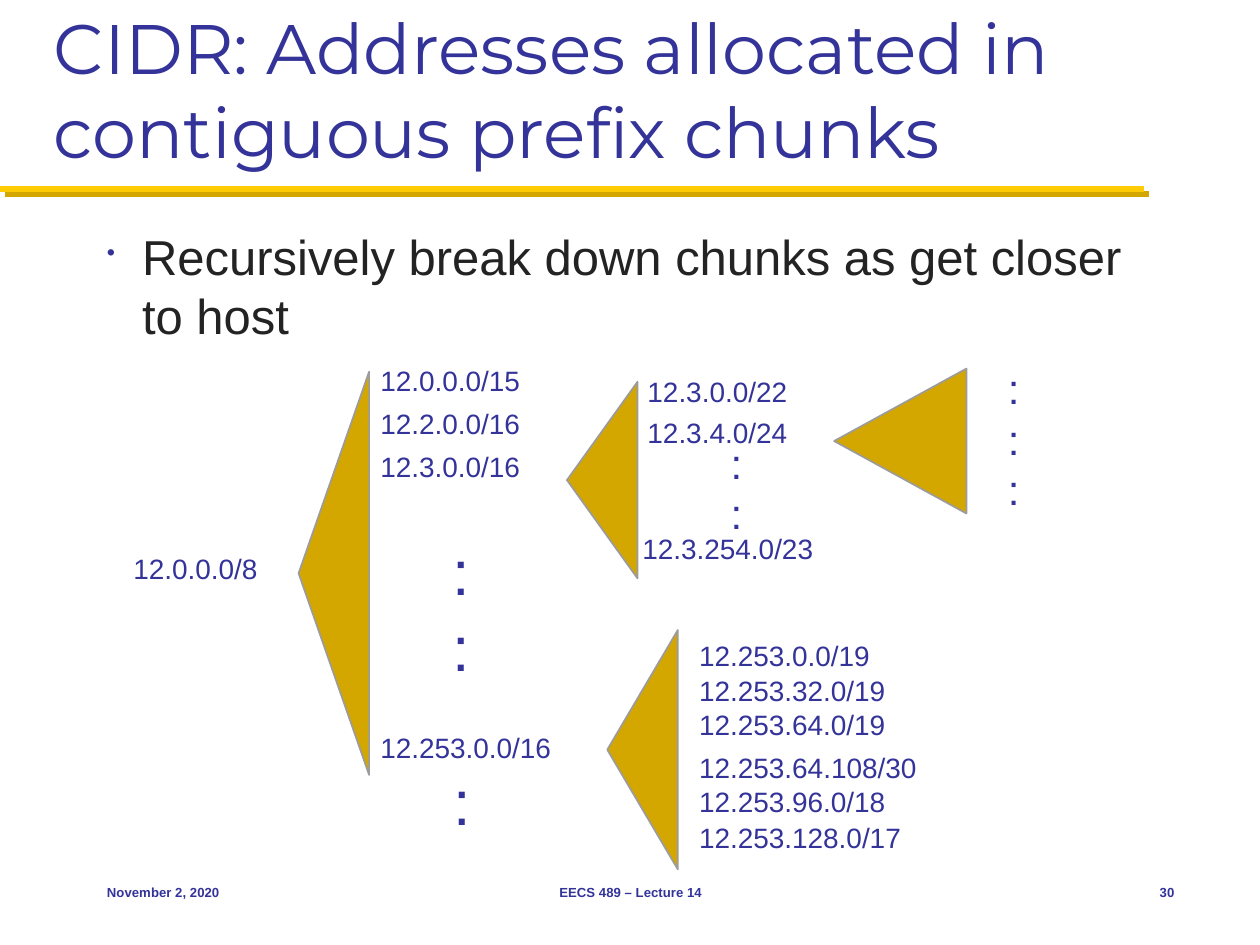
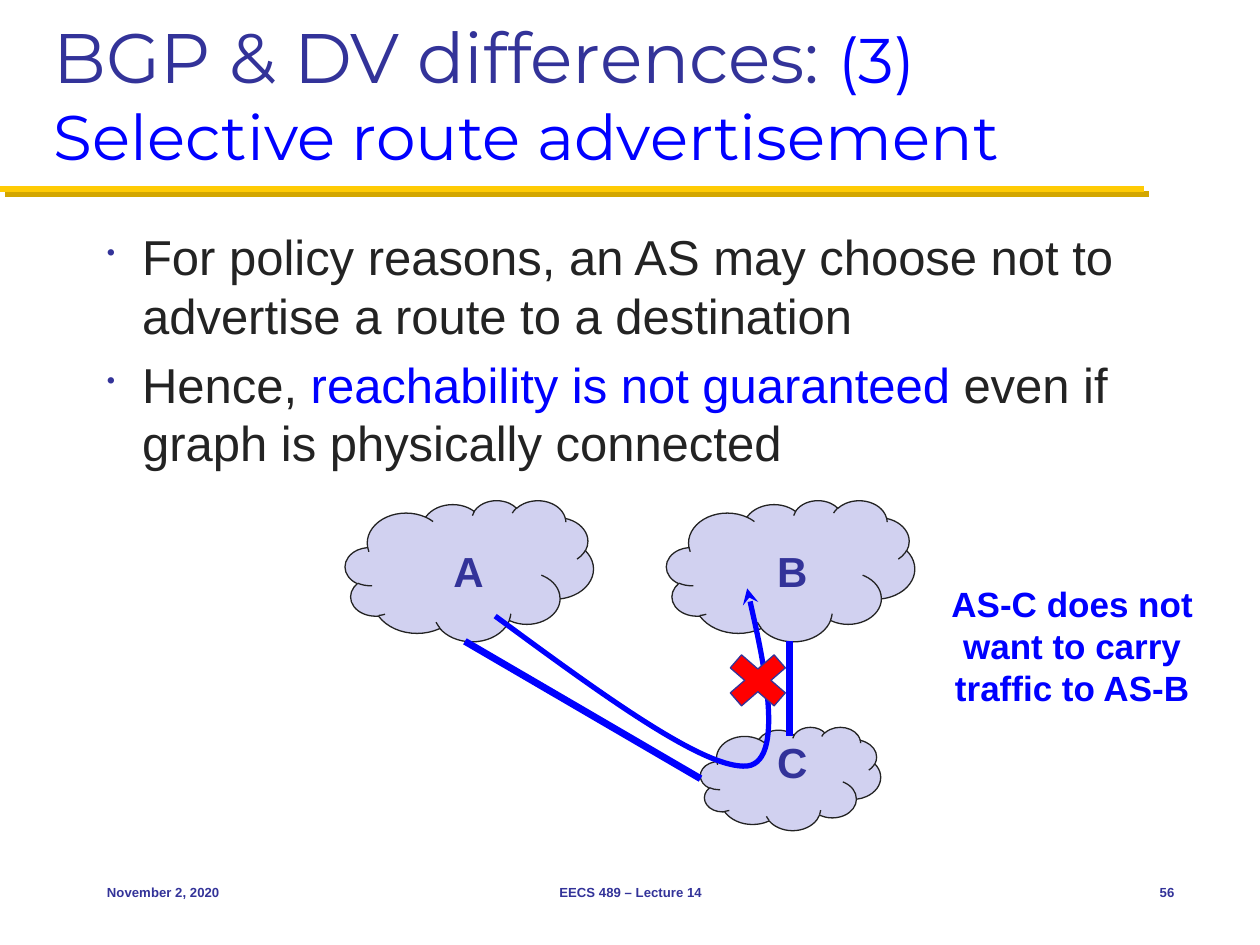
from dataclasses import dataclass

import lxml.etree
import pptx
import pptx.dml.color
import pptx.enum.shapes
import pptx.enum.text
import pptx.oxml.ns
import pptx.util

SHAPE = pptx.enum.shapes.MSO_SHAPE
ALIGN = pptx.enum.text.PP_ALIGN
ANCHOR = pptx.enum.text.MSO_ANCHOR
CELL = pptx.util.Inches(0.1)  # the slide is a grid of 100 columns by 75 rows


@dataclass(frozen=True)
class Theme:
    """Colours, fonts and type sizes of the deck."""
    navy: str = "333399"
    blue: str = "0000FF"
    ink: str = "232323"
    gold: str = "FFCB05"
    ochre: str = "D3A600"
    grey: str = "9C9C9C"
    lilac: str = "D1D1F0"
    red: str = "FF0000"
    head_font: str = "Montserrat"
    body_font: str = "Arial"
    title: float = 40
    subtitle: float = 36
    body: float = 28
    node: float = 24
    note: float = 20
    label: float = 16
    footer: float = 7.5


T = Theme()


def grid(*cells):
    """Turn columns or rows into lengths."""
    return [round(c * CELL) for c in cells]


def rgb(color):
    """Make a colour from its hex digits."""
    return pptx.dml.color.RGBColor.from_string(color)


def sub(parent, tag, **attrs):
    """Append a drawing element such as a:buChar."""
    e = lxml.etree.SubElement(parent, pptx.oxml.ns.qn(tag))
    for key, value in attrs.items():
        e.set(key, str(value))
    return e


def add_run(p, text, size, color, font=T.body_font, bold=False):
    """Add one formatted run to a paragraph."""
    r = p.add_run()
    r.text = text
    r.font.size = pptx.util.Pt(size)
    r.font.name = font
    r.font.bold = bold
    r.font.color.rgb = rgb(color)


def add_box(s, box, wrap=True, anchor=ANCHOR.TOP, grow=False):
    """Add an empty text box and return its text frame."""
    tf = s.shapes.add_textbox(*grid(*box)).text_frame
    tf.word_wrap = wrap
    tf.vertical_anchor = anchor
    if grow:
        tf.auto_size = pptx.enum.text.MSO_AUTO_SIZE.SHAPE_TO_FIT_TEXT
    return tf


def add_title(s, *runs):
    """Add the title from (text, size, colour) runs."""
    p = add_box(s, (3.3, 1.7, 93.3, 12.5), anchor=ANCHOR.BOTTOM).paragraphs[0]
    for run in runs:
        add_run(p, *run, font=T.head_font)


def add_bullets(s, *items):
    """Add the body; each item is a list of (text, colour) runs."""
    tf = add_box(s, (7.5, 17.5, 86.7, 48.3))
    for i, runs in enumerate(items):
        p = tf.add_paragraph() if i else tf.paragraphs[0]
        p.space_before = pptx.util.Pt(0.2 * T.body)
        pPr = p._p.get_or_add_pPr()
        indent = grid(2.8)[0]
        pPr.set("marL", str(indent))
        pPr.set("indent", str(-indent))
        sub(sub(pPr, "a:buClr"), "a:srgbClr", val=T.navy)
        sub(pPr, "a:buSzPct", val=50000)
        sub(pPr, "a:buChar", char="\u2022")
        for text, color in runs:
            add_run(p, text, T.body, color)


def add_line(s, start, end, color, width):
    """Add a straight line and return its (empty) effect list."""
    sp = s.shapes.add_connector(pptx.enum.shapes.MSO_CONNECTOR.STRAIGHT,
                                *grid(*start, *end))
    sp.line.color.rgb = rgb(color)
    sp.line.width = pptx.util.Pt(width)
    return sub(sp._element.spPr, "a:effectLst")


def add_shape(s, kind, box, fill, line, width):
    """Add a flat preset shape."""
    sp = s.shapes.add_shape(kind, *grid(*box))
    sp.shadow.inherit = False
    sp.fill.solid()
    sp.fill.fore_color.rgb = rgb(fill)
    sp.line.color.rgb = rgb(line)
    sp.line.width = pptx.util.Pt(width)
    return sp


def add_fan(s, tip, middle, depth, spread):
    """Add a triangle that opens to the right from its tip."""
    box = (tip + (depth - spread) / 2, middle - depth / 2, spread, depth)
    sp = add_shape(s, SHAPE.ISOSCELES_TRIANGLE, box, T.ochre, T.grey, 1)
    sp.rotation = 270


def add_prefix(s, col, row, text):
    """Add an address prefix, in a box as wide as its text needs."""
    tf = add_box(s, (col, row, 1.55 * len(text) - 1, 4.4), wrap=False, grow=True)
    add_run(tf.paragraphs[0], text, T.label, T.navy)


def add_dots(s, box, count, size):
    """Add a column of colons that stands for omitted prefixes."""
    tf = add_box(s, box, wrap=False, grow=True)
    for i in range(count):
        p = tf.add_paragraph() if i else tf.paragraphs[0]
        add_run(p, ":", size, T.navy)


def add_route(s, start, curves, size):
    """Add a curved arrow; each curve is two controls and an end point."""
    points = [grid(*pt) for curve in curves for pt in curve]
    fb = s.shapes.build_freeform(*grid(*start))
    fb.add_line_segments(points, close=False)
    sp = fb.convert_to_shape()
    sp.shadow.inherit = False
    sp.fill.background()
    sp.line.color.rgb = rgb(T.blue)
    sp.line.width = pptx.util.Pt(3)
    sub(sp.line._get_or_add_ln(), "a:tailEnd", type="stealth")
    outline = sp._element.find(".//" + pptx.oxml.ns.qn("a:path"))
    steps = outline.findall(pptx.oxml.ns.qn("a:lnTo"))
    for i in range(0, len(steps), 3):
        bezier = sub(outline, "a:cubicBezTo")
        for step in steps[i:i + 3]:
            bezier.append(step[0])
            outline.remove(step)
    # The frame holds the curve itself, not its control points.
    sp.width, sp.height = grid(*size)
    outline.set("w", str(sp.width))
    outline.set("h", str(sp.height))


def add_slide(prs, number):
    """Add a slide with the title rule and the footer."""
    s = prs.slides.add_slide(prs.slide_layouts[6])
    effects = add_line(s, (0, 15), (90.8, 15), T.gold, 3.5)
    shadow = sub(effects, "a:outerShdw", blurRad=0,
                 dist=pptx.util.Pt(4.2), dir=45 * 60000, algn="ctr", rotWithShape=0)
    sub(shadow, "a:srgbClr", val=T.ochre)
    for col, width, align, text in (
            (7.5, 20.8, ALIGN.LEFT, "November 2, 2020"),
            (34.2, 31.7, ALIGN.CENTER, "EECS 489 \u2013 Lecture 14"),
            (87.5, 6.7, ALIGN.RIGHT, str(number))):
        tf = add_box(s, (col, 68.3, width, 5), wrap=False, anchor=ANCHOR.MIDDLE)
        tf.paragraphs[0].alignment = align
        add_run(tf.paragraphs[0], text, T.footer, T.navy, bold=True)
    return s


def build_cidr(prs):
    """Build the slide on address allocation."""
    s = add_slide(prs, 30)
    add_title(s, ("CIDR: Addresses allocated in contiguous prefix chunks",
                  T.title, T.navy))
    add_bullets(s, [("Recursively break down chunks as get closer to host", T.ink)])

    for fan in ((23.7, 45.5, 5.6, 32), (45, 38.1, 5.6, 15.6),
                (48.2, 59.5, 5.6, 19), (66.2, 35, 10.5, 11.5)):
        add_fan(s, *fan)

    columns = {
        9.6: [(43.3, "12.0.0.0/8")],
        29.2: [(28.4, "12.0.0.0/15"), (31.8, "12.2.0.0/16"),
               (35.2, "12.3.0.0/16"), (57.5, "12.253.0.0/16")],
        50.4: [(29.2, "12.3.0.0/22"), (32.5, "12.3.4.0/24")],
        50: [(41.7, "12.3.254.0/23")],
        54.5: [(50.2, "12.253.0.0/19"), (53, "12.253.32.0/19"),
               (55.7, "12.253.64.0/19"), (59.1, "12.253.64.108/30"),
               (61.8, "12.253.96.0/18"), (64.6, "12.253.128.0/17")],
    }
    for col, prefixes in columns.items():
        for row, text in prefixes:
            add_prefix(s, col, row, text)

    add_dots(s, (34.9, 41.8, 3.4, 13.1), 2, 36)
    add_dots(s, (35, 60, 3.4, 7.1), 1, 36)
    add_dots(s, (57, 34.2, 3, 9.1), 2, 24)
    add_dots(s, (79, 28.3, 3, 13.1), 3, 24)


def build_bgp(prs):
    """Build the slide on selective route advertisement."""
    s = add_slide(prs, 56)
    add_title(s, ("BGP & DV differences: ", T.title, T.navy),
              ("(3) Selective route advertisement", T.subtitle, T.blue))
    add_bullets(
        s,
        [("For policy reasons, an AS may choose not to advertise a route "
          "to a destination ", T.ink)],
        [("Hence, ", T.ink), ("reachability is not guaranteed", T.blue),
         (" even if graph is physically connected", T.ink)])

    for box in ((55.6, 57.7, 14.3, 8.2), (52.9, 39.7, 19.7, 11.2),
                (27.4, 39.7, 19.7, 11.2)):
        add_shape(s, SHAPE.CLOUD, box, T.lilac, T.ink, 0.75)
    add_line(s, (36.9, 50.9), (55.6, 61.8), T.blue, 4)
    add_line(s, (62.7, 50.9), (62.7, 58.4), T.blue, 4)
    for col, row, name in ((35, 42.8, "A"), (60.7, 42.8, "B"), (60.7, 58, "C")):
        tf = add_box(s, (col, row, 4, 5), wrap=False, grow=True)
        add_run(tf.paragraphs[0], name, T.node, T.navy, bold=True)

    tf = add_box(s, (72.1, 45.7, 26, 11.1), grow=True)
    tf.paragraphs[0].alignment = ALIGN.CENTER
    add_run(tf.paragraphs[0], "AS-C does not want to carry traffic to AS-B",
            T.note, T.blue, bold=True)

    add_route(s, (39.3, 48.9),
              [((47.6, 55), (55.9, 61.1), (59.3, 60.8)),
               ((62.6, 60.4), (59.3, 46.7), (59.3, 46.7))], (21.5, 14))
    add_shape(s, SHAPE.MATH_MULTIPLY, (56.8, 51.1, 6.7, 5.8), T.red, T.navy, 0.75)


def main():
    """Build and save the deck."""
    prs = pptx.Presentation()
    prs.slide_width, prs.slide_height = grid(100, 75)
    build_cidr(prs)
    build_bgp(prs)
    prs.save("out.pptx")


main()
